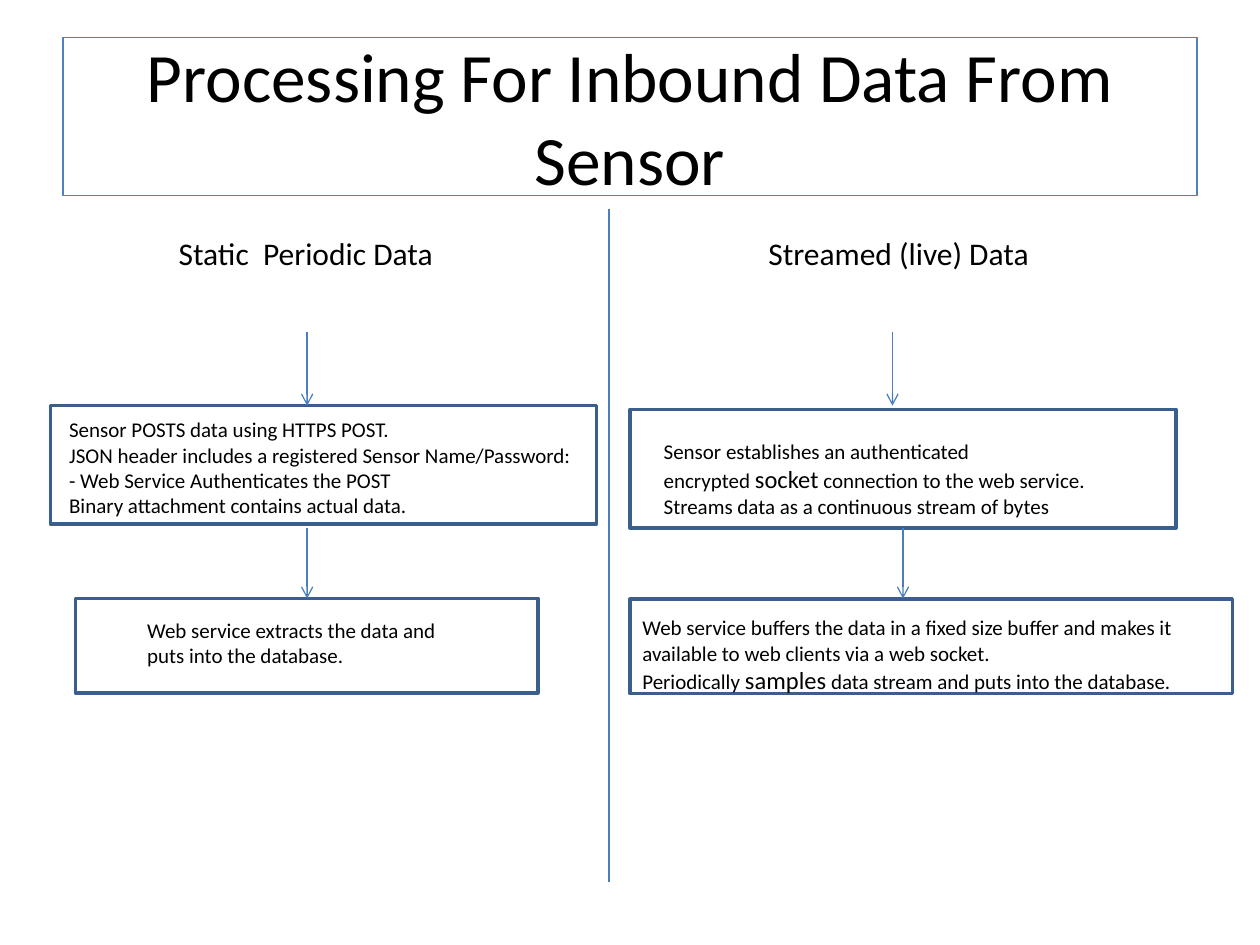
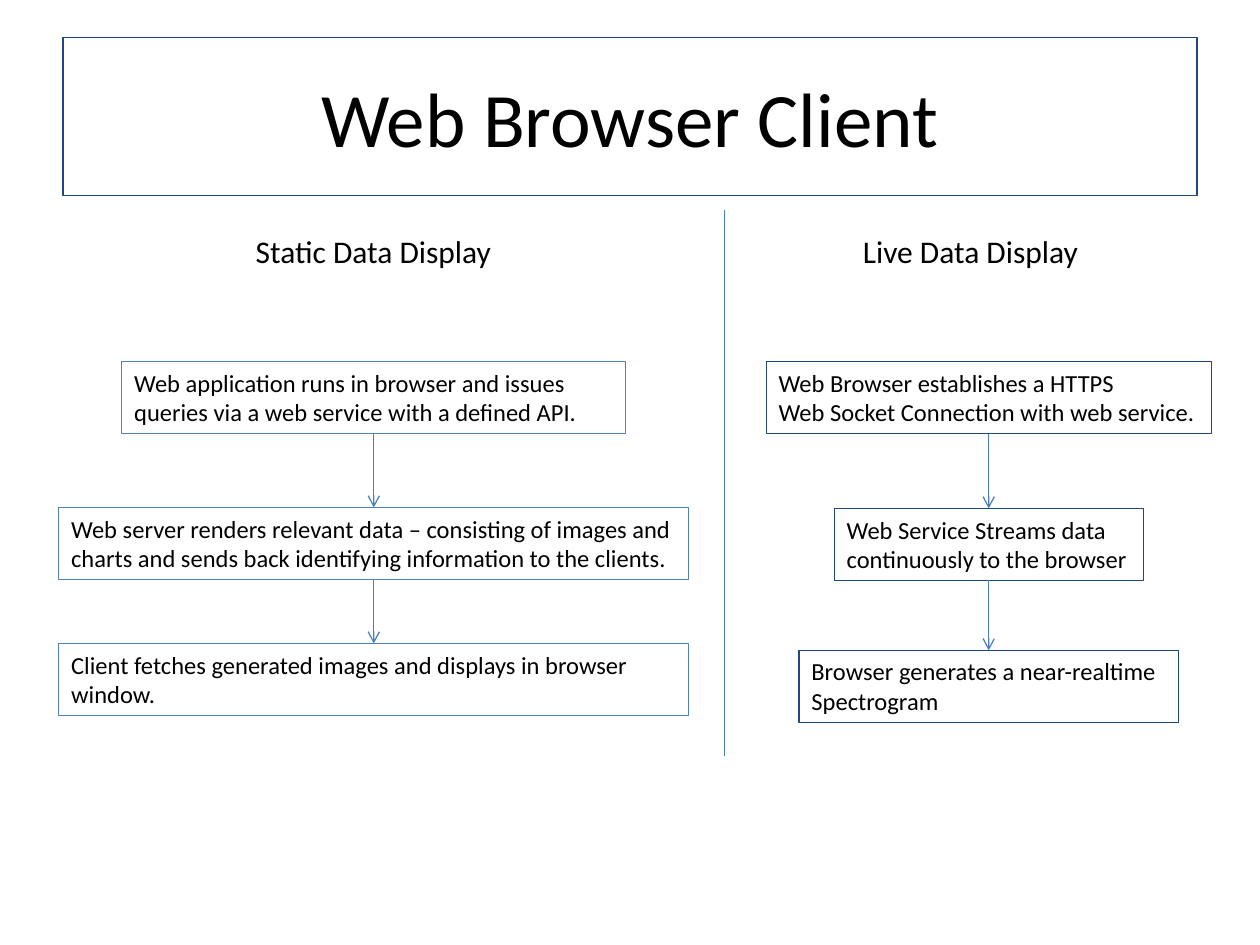
from lxml import etree
from pptx import Presentation
from pptx.dml.color import RGBColor
from pptx.enum import shapes, text
from pptx.oxml import ns
from pptx.util import Pt

FONT = "Calibri"
BLACK = RGBColor(0x00, 0x00, 0x00)
BLUE = RGBColor(0x4F, 0x81, 0xBD)
NAVY = RGBColor(0x1F, 0x49, 0x7D)
STEEL = RGBColor(0x3A, 0x5F, 0x8C)
ARROW = RGBColor(0x4B, 0x7E, 0xBC)
TITLE_BOX = (36, 21.6, 648, 90)
THIN, THICK = 0.75, 2
HEADING_SIZE = 18


def write(sp, lines, size, align=text.PP_ALIGN.LEFT,
          anchor=text.MSO_ANCHOR.TOP, wrap=True):
    """Fill a shape with lines; a line is a string or a list of (text, size) runs."""
    tf = sp.text_frame
    tf.word_wrap = wrap
    tf.vertical_anchor = anchor
    for i, line in enumerate(lines):
        p = tf.paragraphs[0] if i == 0 else tf.add_paragraph()
        p.alignment = align
        for words, run_size in [(line, size)] if isinstance(line, str) else line:
            r = p.add_run()
            r.text = words
            r.font.name, r.font.size = FONT, Pt(run_size)
            r.font.color.rgb = BLACK


def add_text(s, box, lines, size, wrap=True):
    """Add a plain text box."""
    write(s.shapes.add_textbox(*map(Pt, box)), lines, size, wrap=wrap)


def add_frame(s, box, color, width):
    """Add an unfilled outlined rectangle."""
    sp = s.shapes.add_shape(shapes.MSO_SHAPE.RECTANGLE, *map(Pt, box))
    sp.shadow.inherit = False
    sp.fill.background()
    sp.line.color.rgb = color
    sp.line.width = Pt(width)
    return sp


def add_title(s, title, size, color):
    """Add the framed slide title."""
    write(add_frame(s, TITLE_BOX, color, THIN), [title], size,
          text.PP_ALIGN.CENTER, text.MSO_ANCHOR.MIDDLE)


def add_line(s, x, top, bottom, arrow=False):
    """Add a vertical line, with an open arrowhead at its bottom if asked."""
    line = s.shapes.add_connector(shapes.MSO_CONNECTOR.STRAIGHT,
                                  Pt(x), Pt(top), Pt(x), Pt(bottom))
    line.line.color.rgb = ARROW
    line.line.width = Pt(THIN)
    if arrow:
        etree.SubElement(line.line._get_or_add_ln(), ns.qn("a:tailEnd"), type="arrow")
    etree.SubElement(line._element.spPr, ns.qn("a:effectLst"))


def add_framed_note(s, box, inset, lines):
    """Add a thick frame and a text box inset (left, top, width, height) in it."""
    left, top = box[:2]
    dx, dy, width, height = inset
    add_frame(s, box, STEEL, THICK)
    add_text(s, (left + dx, top + dy, width, height), lines, 12)


def add_chain(s, center, tops, height, color, steps, wrap):
    """Stack centred steps, given as (width, lines), joined by arrows."""
    for i, (top, (width, lines)) in enumerate(zip(tops, steps)):
        box = (center - width / 2, top, width, height)
        write(add_frame(s, box, color, THIN), lines, 14, wrap=wrap)
        if i:
            add_line(s, center, tops[i - 1] + height, top, arrow=True)


def inbound_slide(prs):
    """Build the slide on data arriving from the sensor."""
    s = prs.slides.add_slide(prs.slide_layouts[6])
    add_title(s, "Processing For Inbound Data From Sensor", 39.6, BLUE)
    add_line(s, 348, 119.5, 504)
    add_text(s, (95, 130.3, 161.3, 51), ["Static  Periodic Data"], HEADING_SIZE, False)
    add_text(s, (432, 130.3, 164.9, 29), ["Streamed (live) Data"], HEADING_SIZE, False)

    add_framed_note(s, (28.8, 231.8, 312, 67.7), (3.6, 2.9, 315.4, 65.5), [
        "Sensor POSTS data using HTTPS POST.",
        "JSON header includes a registered Sensor Name/Password:",
        "- Web Service Authenticates the POST",
        "Binary attachment contains actual data."])
    add_framed_note(s, (43.2, 342, 264.2, 54), (33.8, 7.2, 210.2, 36), [
        "Web service extracts the data and ",
        "puts into the database."])
    add_framed_note(s, (360, 234, 312, 67.7), (12.2, 13, 275.8, 53.3), [
        "Sensor establishes an authenticated ",
        [("encrypted ", 12), ("socket", 14), (" connection to the web service.", 12)],
        "Streams data as a continuous stream of bytes"])
    add_framed_note(s, (360, 342.4, 344.2, 54), (0, 5.4, 360, 53.3), [
        "Web service buffers the data in a fixed size buffer and makes it "
        "available to web clients via a web socket.",
        [("Periodically ", 12), ("samples", 14),
         (" data stream and puts into the database.", 12)]])

    for upper_x, lower_x in [(175.5, 175.5), (510, 516)]:
        add_line(s, upper_x, 190, 231.8, arrow=True)
        add_line(s, lower_x, 301.7, 342, arrow=True)


def browser_slide(prs):
    """Build the slide on the web browser client."""
    s = prs.slides.add_slide(prs.slide_layouts[6])
    add_title(s, "Web Browser Client", 44, NAVY)
    add_line(s, 414, 120, 432)
    add_text(s, (139, 128.9, 150.5, 29), ["Static Data Display"], HEADING_SIZE, False)
    add_text(s, (486, 128.9, 139, 29), ["Live Data Display"], HEADING_SIZE, False)

    add_chain(s, 213.6, (206.6, 290, 367.7), 41.2, BLUE, [
        (288, ["Web application runs in browser and issues ",
               "queries via a web service with a defined API."]),
        (360, ["Web server renders relevant data – consisting of images and "
               "charts and sends back identifying information to the clients."]),
        (360, ["Client fetches generated images and displays in browser window."]),
    ], wrap=True)
    add_chain(s, 565, (206.6, 290.5, 371.6), 41.2, NAVY, [
        (254.4, ["Web Browser establishes a HTTPS",
                 "Web Socket Connection with web service."]),
        (176.6, ["Web Service Streams data ", "continuously to the browser"]),
        (216.8, ["Browser generates a near-realtime ", "Spectrogram"]),
    ], wrap=False)


prs = Presentation()
prs.slide_width, prs.slide_height = Pt(720), Pt(540)
inbound_slide(prs)
browser_slide(prs)
prs.save("out.pptx")
